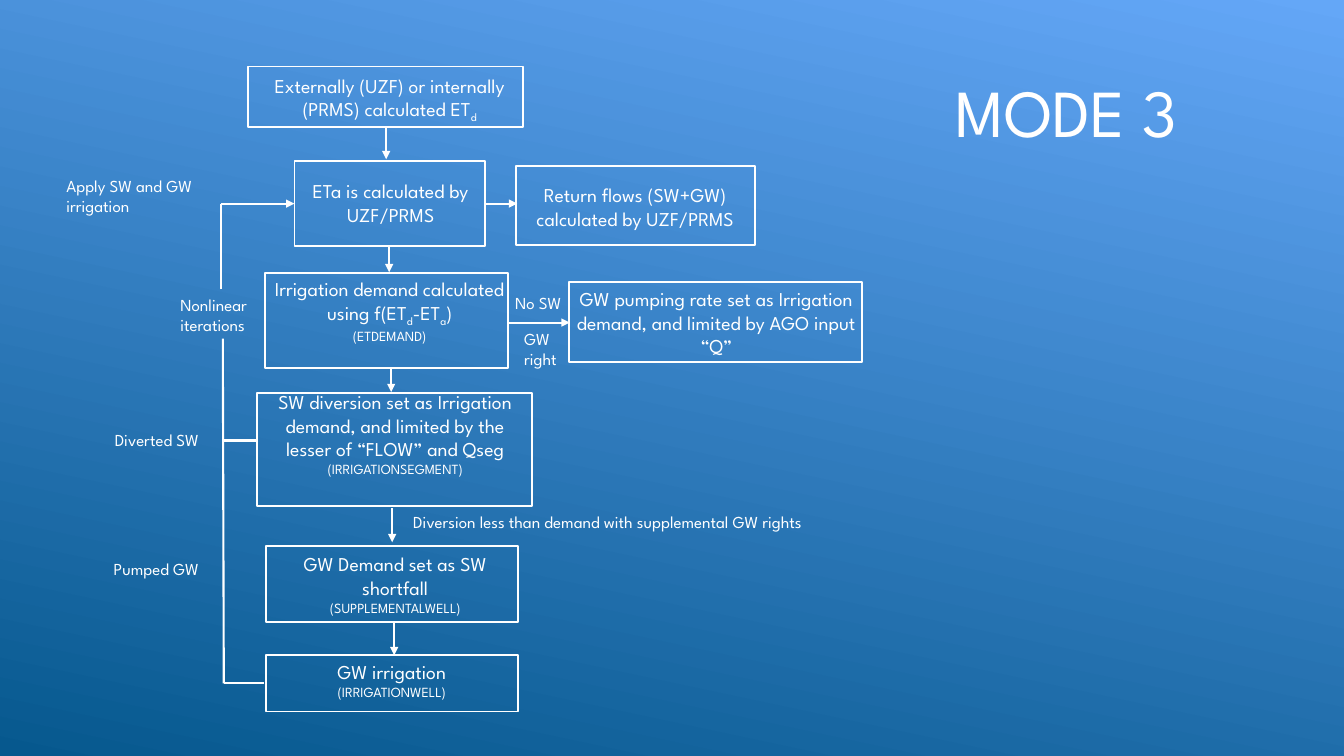
from lxml import etree
from pptx import Presentation
from pptx.dml.color import RGBColor
from pptx.enum.shapes import MSO_CONNECTOR, MSO_SHAPE
from pptx.enum.text import MSO_ANCHOR, PP_ALIGN
from pptx.oxml.ns import qn
from pptx.util import Pt

PX = 9144
FONT = "League Spartan"
WHITE = "FFFFFF"
RECT, STRAIGHT = MSO_SHAPE.RECTANGLE, MSO_CONNECTOR.STRAIGHT
LEFT, CENTER = PP_ALIGN.LEFT, PP_ALIGN.CENTER
TOP, BOTTOM = MSO_ANCHOR.TOP, MSO_ANCHOR.BOTTOM


def rgb(value):
    """Return the colour for a hex string."""
    return RGBColor.from_string(value)


def place(x, y, box):
    """Return the EMU left, top, width and height of a box set from an origin."""
    left, top, w, h = box
    return [n * PX for n in (x + left, y + top, w, h)]


def add_text(slide, x, y, box, lines, align=LEFT, anchor=TOP):
    """Add a text box of (text, size) lines, with subscripts between tildes."""
    tf = slide.shapes.add_textbox(*place(x, y, box)).text_frame
    tf.word_wrap = True
    tf.vertical_anchor = anchor
    for i, (text, size) in enumerate(lines):
        p = tf.add_paragraph() if i else tf.paragraphs[0]
        p.alignment = align
        for j, part in enumerate(text.split("~")):
            if not part:
                continue
            r = p.add_run()
            r.text = part
            for name, value in {"name": FONT, "size": Pt(size)}.items():
                setattr(r.font, name, value)
            r.font.color.rgb = rgb(WHITE)
            if j % 2:
                r._r.get_or_add_rPr().set("baseline", "-25000")


def add_step(slide, x, y, frame, box, text, note=None):
    """Add an outlined step with its centred text and optional package name."""
    sp = slide.shapes.add_shape(RECT, *place(x, y, frame))
    sp.shadow.inherit = False
    sp.fill.background()
    sp.line.color.rgb = rgb(WHITE)
    sp.line.width = Pt(1.25)
    lines = [(text, 14)] + ([(note, 10)] if note else [])
    add_text(slide, x, y, box, lines, CENTER)


def add_line(slide, x, y, ends, arrow=False):
    """Add a straight line between two points, with an arrowhead if asked."""
    x1, y1, x2, y2 = ends
    points = [n * PX for n in (x + x1, y + y1, x + x2, y + y2)]
    sp = slide.shapes.add_connector(STRAIGHT, *points)
    sp.line.color.rgb = rgb(WHITE)
    sp.line.width = Pt(1.5)
    if arrow:
        etree.SubElement(sp.line._get_or_add_ln(), qn("a:tailEnd"), type="triangle")
    etree.SubElement(sp._element.spPr, qn("a:effectLst"))


def add_background(slide):
    """Fill the background with a blue gradient."""
    fill = slide.background.fill
    fill.gradient()
    fill.gradient_angle = 258
    for stop, color in zip(fill.gradient_stops, ("64A7F7", "06588E")):
        stop.color.rgb = rgb(color)


def add_main_flow(slide, x, y):
    """Draw the column of steps and the arrows between them."""
    steps = [
        ((0, 0, 273, 60), (1, 2, 279, 57),
         "Externally (UZF) or internally (PRMS) calculated ET~d~"),
        ((46, 94, 189, 84), (47, 107, 189, 57), "ETa is calculated by UZF/PRMS"),
        ((17, 205, 241, 94), (15, 204, 251, 74),
         "Irrigation demand calculated using f(ET~d~-ET~a~)", "(ETDEMAND)"),
        ((9, 324, 273, 112), (6, 316, 280, 98),
         "SW diversion set as Irrigation demand, and limited by the lesser of "
         "“FLOW” and Qseg", "(IRRIGATIONSEGMENT)"),
        ((18, 476, 250, 75), (20, 477, 252, 74),
         "GW Demand set as SW shortfall", "(SUPPLEMENTALWELL)"),
        ((18, 584, 250, 56), (-7, 584, 299, 74), "GW irrigation", "(IRRIGATIONWELL)"),
    ]
    for step in steps:
        add_step(slide, x, y, *step)
    arrows = [(137, 59, 92), (140, 179, 204), (142, 299, 323),
              (143, 438, 472), (145, 551, 584)]
    for left, start, end in arrows:
        add_line(slide, x, y, (left, start, left, end), True)
    label = "Diversion less than demand with supplemental GW rights"
    add_text(slide, x, y, (154, 437, 411, 30), [(label, 12)])


def add_branches(slide, x, y):
    """Draw the two steps that branch off to the right."""
    add_step(slide, x, y, (13, 5, 237, 78), (0, 17, 262, 57),
             "Return flows (SW+GW) calculated by UZF/PRMS")
    add_step(slide, x, y, (65, 120, 291, 79), (62, 120, 299, 81),
             "GW pumping rate set as Irrigation demand, and limited by AGO input “Q”")
    for ends in ((-18, 42, 14, 42), (6, 160, 66, 160)):
        add_line(slide, x, y, ends, True)
    add_text(slide, x, y, (2, 126, 120, 30), [("No SW", 12)])
    add_text(slide, x, y, (11, 161, 69, 50), [("GW right", 12)])


def add_loop(slide, x, y):
    """Draw the iteration loop on the left with its labels."""
    for ends in ((206, 509, 166, 509), (166, 509, 165, 167),
                 (200, 268, 165, 268), (163, 118, 163, 33)):
        add_line(slide, x, y, ends)
    add_line(slide, x, y, (163, 33, 236, 33), True)
    labels = [((0, 0, 155, 50), "Apply SW and GW irrigation"),
              ((113, 118, 105, 50), "Nonlinear iterations"),
              ((48, 252, 110, 30), "Diverted SW"),
              ((47, 380, 110, 30), "Pumped GW")]
    for box, text in labels:
        add_text(slide, x, y, box, [(text, 12)])


def main():
    """Build the slide and save it."""
    prs = Presentation()
    prs.slide_width, prs.slide_height = 1333 * PX, 750 * PX
    slide = prs.slides.add_slide(prs.slide_layouts[6])
    add_background(slide)
    add_text(slide, 938, 65, (0, 0, 380, 90), [("MODE 3", 48)], anchor=BOTTOM)
    add_main_flow(slide, 246, 66)
    add_branches(slide, 499, 160)
    add_loop(slide, 56, 169)
    prs.save("out.pptx")


if __name__ == "__main__":
    main()
